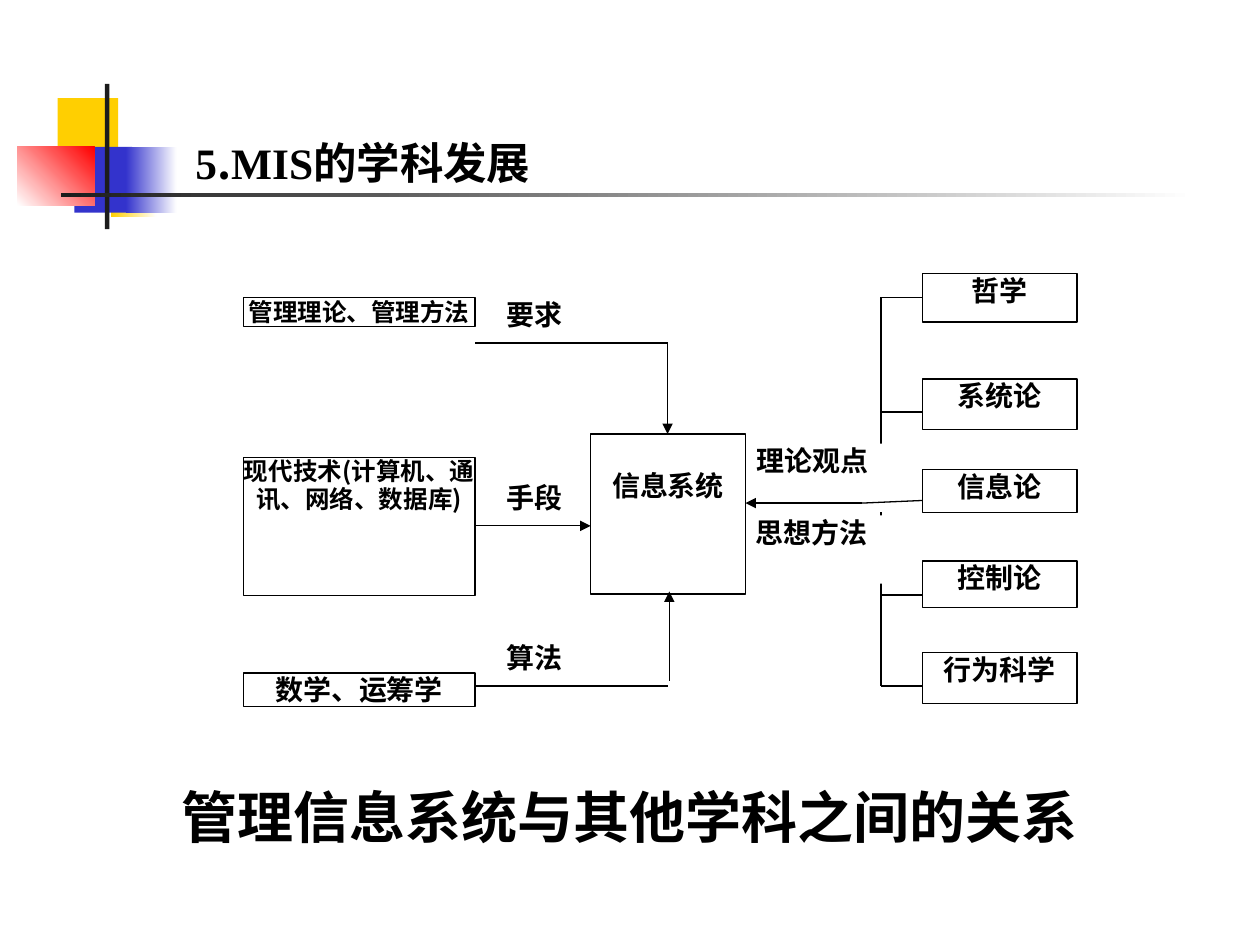
from dataclasses import dataclass

from lxml import etree
from pptx import Presentation
from pptx.dml.color import RGBColor
from pptx.enum.shapes import MSO_CONNECTOR, MSO_SHAPE
from pptx.enum.text import MSO_ANCHOR, MSO_AUTO_SIZE, PP_ALIGN
from pptx.oxml.ns import qn
from pptx.util import Pt

RECTANGLE = MSO_SHAPE.RECTANGLE
STRAIGHT = MSO_CONNECTOR.STRAIGHT
TOP, BOTTOM = MSO_ANCHOR.TOP, MSO_ANCHOR.BOTTOM
LEFT, CENTER, JUSTIFY = PP_ALIGN.LEFT, PP_ALIGN.CENTER, PP_ALIGN.JUSTIFY
NO_AUTOFIT = MSO_AUTO_SIZE.NONE


@dataclass(frozen=True)
class Theme:
    ink: str = "000000"
    paper: str = "FFFFFF"
    yellow: str = "FFCF01"
    blue: str = "3333CC"
    red: str = "FF0000"
    charcoal: str = "1C1C1C"
    latin: str = "Times New Roman"
    chinese: str = "Noto Sans CJK SC"
    caption: float = 32
    heading: float = 24.8
    body: float = 16
    small: float = 14
    rule: float = 0.75


class Diagram:
    def __init__(self, page, theme):
        self.page = page
        self.theme = theme

    def style(self, para, size, align, font=None):
        para.alignment = align
        para.font.size = Pt(size)
        para.font.bold = True
        para.font.color.rgb = RGBColor.from_string(self.theme.ink)
        para.font.name = font or self.theme.latin
        defaults = para._p.pPr.find(qn("a:defRPr"))
        defaults.find(qn("a:latin")).addnext(
            defaults.makeelement(qn("a:ea"), {"typeface": self.theme.chinese}))

    def frame(self, shape, anchor, insets):
        """Set wrapping, anchor and (horizontal, top) insets; return the first paragraph."""
        frame = shape.text_frame
        frame.word_wrap = True
        frame.auto_size = NO_AUTOFIT
        frame.vertical_anchor = anchor
        side, top = insets
        frame.margin_left = frame.margin_right = Pt(side)
        frame.margin_top = frame.margin_bottom = Pt(top)
        return frame.paragraphs[0]

    def block(self, left, top, width, height, color, fade_to=None, angle=0):
        """Draw a borderless rectangle, optionally fading from color to fade_to."""
        shape = self.page.shapes.add_shape(
            RECTANGLE, Pt(left), Pt(top), Pt(width), Pt(height))
        shape.shadow.inherit = False
        shape.line.fill.background()
        if fade_to:
            shape.fill.gradient()
            shape.fill.gradient_angle = angle
            for stop, shade in zip(shape.fill.gradient_stops, (color, fade_to)):
                stop.color.rgb = RGBColor.from_string(shade)
        else:
            shape.fill.solid()
            shape.fill.fore_color.rgb = RGBColor.from_string(color)
        return shape

    def label(self, text, left, top, width):
        shape = self.block(left, top, width, 39, self.theme.paper)
        para = self.frame(shape, TOP, (0, 0))
        para.text = text
        self.style(para, self.theme.body, JUSTIFY)

    def node(self, text, left, top, width, height, size=None, font=None,
             spacing=None, insets=(0, 0)):
        shape = self.block(left, top, width, height, self.theme.paper)
        shape.line.color.rgb = RGBColor.from_string(self.theme.ink)
        shape.line.width = Pt(self.theme.rule)
        para = self.frame(shape, TOP, insets)
        para.text = text
        if spacing:
            para.line_spacing = spacing
        self.style(para, size or self.theme.body, CENTER, font)

    def line(self, x1, y1, x2, y2, arrow=False):
        connector = self.page.shapes.add_connector(
            STRAIGHT, Pt(x1), Pt(y1), Pt(x2), Pt(y2))
        connector.line.color.rgb = RGBColor.from_string(self.theme.ink)
        connector.line.width = Pt(self.theme.rule)
        if arrow:
            etree.SubElement(connector.line._get_or_add_ln(), qn("a:tailEnd"), type="triangle")
        etree.SubElement(connector._element.spPr, qn("a:effectLst"))

    def caption(self, text):
        title = self.page.shapes.title
        title.left, title.top, title.width, title.height = Pt(54), Pt(445.5), Pt(612), Pt(43.5)
        para = self.frame(title, BOTTOM, (7.2, 3.6))
        para.text = text
        self.style(para, self.theme.caption, CENTER)

    def heading(self, spans):
        box = self.page.shapes.add_textbox(Pt(104.5), Pt(71), Pt(522), Pt(40))
        para = self.frame(box, BOTTOM, (7.2, 3.6))
        para.line_spacing = 0.8
        self.style(para, self.theme.heading, LEFT)
        for text, font in spans:
            span = para.add_run()
            span.text = text
            span.font.name = font


def draw_ornament(diagram):
    theme = diagram.theme
    diagram.block(33, 56, 34.5, 37.5, theme.yellow)
    diagram.block(63.5, 86.5, 26, 37.5, theme.yellow, theme.paper)
    diagram.block(42.5, 84, 33, 37.5, theme.blue)
    diagram.block(72, 84, 29, 37.5, theme.blue, theme.paper)
    diagram.block(10, 84, 44, 33.5, theme.paper, theme.red, angle=45)
    diagram.block(60, 48, 2.5, 83, theme.charcoal)
    diagram.block(35, 110.25, 648, 2.5, theme.charcoal, theme.paper)


def draw_relations(diagram):
    theme = diagram.theme
    source_left, source_width = 139, 132.5
    source_right = source_left + source_width
    core_left, core_top, core_width, core_height = 337.5, 248, 88.5, 91.5
    core_right = core_left + core_width
    core_middle = 381.5
    spine, field_left = 503.5, 527
    arrow_y, bend = 287.5, 492.5

    diagram.line(spine, 170, spine, 392)
    diagram.label("理论观点", 432.5, 253.5, 77)
    diagram.label("思想方法", 432, 294.5, 77)
    for text, top in (("算法", 366), ("手段", 274.5), ("要求", 170)):
        diagram.label(text, 289.5, top, 55.5)

    diagram.node("管理理论、管理方法", source_left, 170, source_width, 16.75, theme.small)
    diagram.node("现代技术(计算机、通讯、网络、数据库)", source_left, 261.5, source_width, 79,
                 theme.small, theme.chinese, 0.96)
    diagram.node("数学、运筹学", source_left, 384.5, source_width, 19.25)
    diagram.node("信息系统", core_left, core_top, core_width, core_height,
                 spacing=0.96, insets=(7.2, 21))

    fields = (("哲学", 156.5, 27.5, 170), ("系统论", 216.5, 29, 235.5),
              ("信息论", 268.5, 24.5, None), ("控制论", 320.5, 26.5, 340),
              ("行为科学", 373, 29, 392))
    for text, top, height, branch_y in fields:
        diagram.node(text, field_left, top, 88.5, height)
        if branch_y:
            diagram.line(spine, branch_y, field_left, branch_y)

    for y in (196, 392):
        diagram.line(source_right, y, core_middle, y)
    diagram.line(source_right, 300.5, core_left, 300.5, arrow=True)
    diagram.line(core_middle, 196, core_middle, core_top, arrow=True)
    diagram.line(382.5, 389, 382.5, 338, arrow=True)
    diagram.line(bend, arrow_y, field_left, 286)
    diagram.line(bend, arrow_y, core_right, arrow_y, arrow=True)


def main():
    deck = Presentation()
    deck.slide_width, deck.slide_height = Pt(720), Pt(540)
    theme = Theme()
    diagram = Diagram(deck.slides.add_slide(deck.slide_layouts[5]), theme)
    draw_ornament(diagram)
    diagram.caption("管理信息系统与其他学科之间的关系")
    draw_relations(diagram)
    diagram.heading((("5", theme.latin), (".", theme.chinese),
                     ("MIS", theme.latin), ("的学科发展", theme.chinese)))
    deck.save("out.pptx")


if __name__ == "__main__":
    main()
